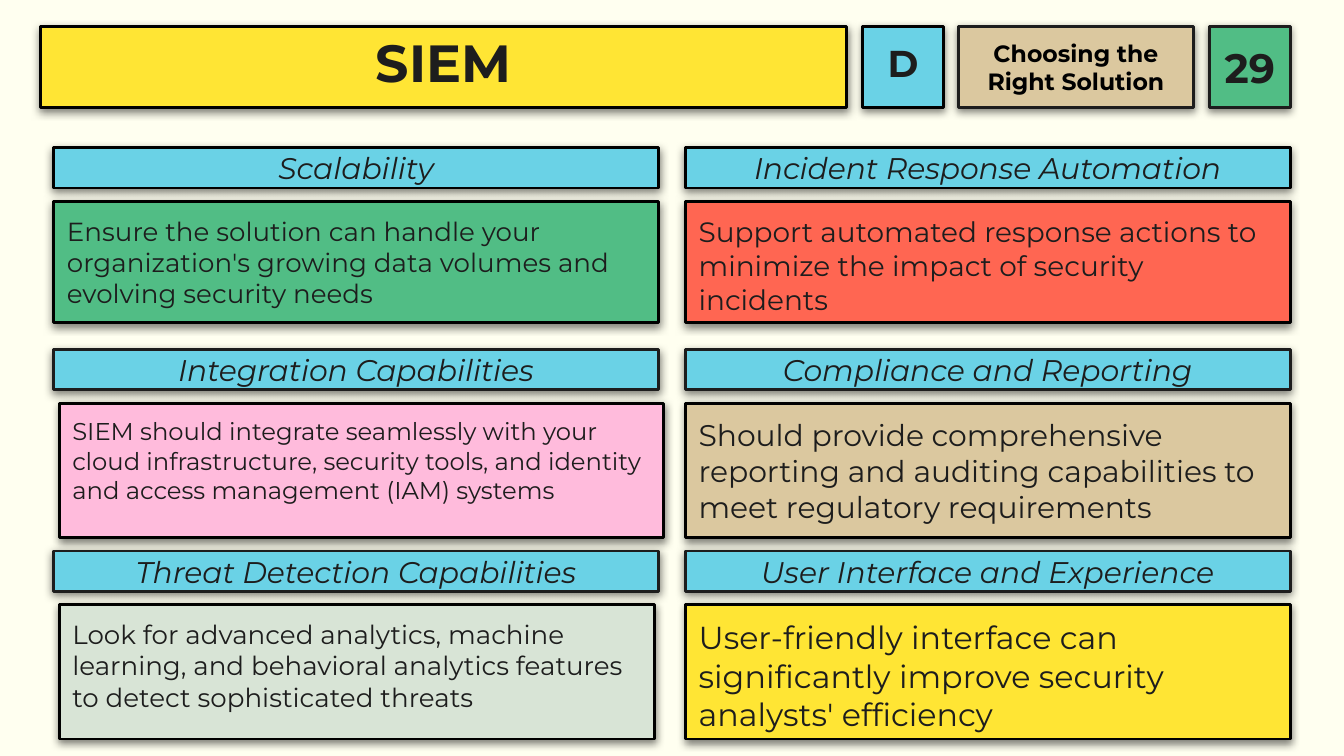
from dataclasses import dataclass
from typing import NamedTuple

from lxml.etree import SubElement
from pptx import Presentation
from pptx.dml.color import RGBColor
from pptx.enum.shapes import MSO_SHAPE
from pptx.enum.text import MSO_ANCHOR, MSO_AUTO_SIZE, PP_ALIGN
from pptx.oxml.ns import qn
from pptx.util import Inches, Pt


@dataclass(frozen=True)
class Theme:
    font: str = "Montserrat"
    paper: str = "FFFFF0"
    ink: str = "1D1D1D"
    black: str = "000000"
    yellow: str = "FFE534"
    blue: str = "6AD2E6"
    tan: str = "DBC89F"
    green: str = "51BD85"
    red: str = "FF6652"
    pink: str = "FFBBDC"
    sage: str = "D8E4D6"
    title_size: float = 28
    number_size: float = 22
    letter_size: float = 20
    section_size: float = 12.6
    heading_size: float = 16
    border: float = 1.5


T = Theme()


class Box(NamedTuple):
    left: float
    top: float
    width: float
    height: float


@dataclass(frozen=True)
class Style:
    fill: str
    size: float
    line: str = T.black
    color: str = T.ink
    bold: bool = False
    italic: bool = False
    centred: bool = True
    spacing: float = 1.0


class Card(NamedTuple):
    col: int
    row: int
    heading: str
    body: str
    fill: str
    size: float
    nudge: float = 0
    width: float = 4.5


# Card grid, in inches
COL_LEFT, COL_PITCH, COL_WIDTH = 0.4, 4.7, 4.5
ROW_TOP, ROW_PITCH = 1.1, 1.5
HEADING_HEIGHT, BODY_OFFSET = 0.3, 0.4
BODY_HEIGHTS = (0.9, 1.0, 1.0)
HEADING_LINES = (T.black, T.ink, T.ink)
BAR_TOP, BAR_HEIGHT = 0.2, 0.6

CARDS = [
    Card(0, 0, "Scalability",
         "Ensure the solution can handle your organization's growing data "
         "volumes and evolving security needs", T.green, 14),
    Card(1, 0, "Incident Response Automation",
         "Support automated response actions to minimize the impact of "
         "security incidents", T.red, 15),
    Card(0, 1, "Integration Capabilities",
         "SIEM should integrate seamlessly with your cloud infrastructure, "
         "security tools, and identity and access management (IAM) systems",
         T.pink, 13, nudge=0.04),
    Card(1, 1, "Compliance and Reporting",
         "Should provide comprehensive reporting and auditing capabilities "
         "to meet regulatory requirements", T.tan, 16),
    Card(0, 2, "Threat Detection Capabilities",
         "Look for advanced analytics, machine learning, and behavioral "
         "analytics features to detect sophisticated threats",
         T.sage, 14, nudge=0.04, width=4.43),
    Card(1, 2, "User Interface and Experience",
         "User-friendly interface can significantly improve security "
         "analysts' efficiency", T.yellow, 17),
]


def add_shadow(s) -> None:
    """Soft black shadow straight below the shape."""
    s.shadow.inherit = False
    effects = s.element.spPr.find(qn("a:effectLst"))
    shadow = SubElement(effects, qn("a:outerShdw"), blurRad=str(Pt(4.5)),
                        dist=str(Pt(1.5)), dir="5400000", algn="bl",
                        rotWithShape="0")
    color = SubElement(shadow, qn("a:srgbClr"), val=T.black)
    SubElement(color, qn("a:alpha"), val="50000")


def format_box(s, box: Box, text: str, style: Style) -> None:
    """Place a shape, then give it its fill, border, shadow and text."""
    for name, value in box._asdict().items():
        setattr(s, name, Inches(value))
    s.fill.solid()
    s.fill.fore_color.rgb = RGBColor.from_string(style.fill)
    s.line.color.rgb = RGBColor.from_string(style.line)
    s.line.width = Pt(T.border)
    add_shadow(s)

    tf = s.text_frame
    tf.text = text
    frame = {
        "word_wrap": True,
        "auto_size": MSO_AUTO_SIZE.NONE,
        "vertical_anchor": MSO_ANCHOR.MIDDLE if style.centred else MSO_ANCHOR.TOP,
    }
    frame |= {f"margin_{side}": Inches(0.1)
              for side in ("left", "top", "right", "bottom")}
    for name, value in frame.items():
        setattr(tf, name, value)

    font = {"name": T.font, "size": Pt(style.size),
            "bold": style.bold, "italic": style.italic}
    for p in tf.paragraphs:
        p.alignment = PP_ALIGN.CENTER if style.centred else PP_ALIGN.LEFT
        p.line_spacing = style.spacing
        for r in p.runs:
            for name, value in font.items():
                setattr(r.font, name, value)
            r.font.color.rgb = RGBColor.from_string(style.color)


def add_box(slide, box: Box, text: str, style: Style) -> None:
    s = slide.shapes.add_shape(MSO_SHAPE.RECTANGLE, 0, 0, 0, 0)
    format_box(s, box, text, style)


def add_card(slide, card: Card) -> None:
    left = COL_LEFT + card.col * COL_PITCH
    top = ROW_TOP + card.row * ROW_PITCH
    add_box(slide, Box(left, top, COL_WIDTH, HEADING_HEIGHT), card.heading,
            Style(T.blue, T.heading_size, line=HEADING_LINES[card.row], italic=True))
    add_box(slide, Box(left + card.nudge, top + BODY_OFFSET, card.width,
                       BODY_HEIGHTS[card.row]),
            card.body, Style(card.fill, card.size, centred=False))


def main() -> None:
    # A 16:9 slide
    prs = Presentation()
    prs.slide_width = Inches(10)
    prs.slide_height = prs.slide_width * 9 // 16
    slide = prs.slides.add_slide(prs.slide_layouts[5])
    slide.background.fill.solid()
    slide.background.fill.fore_color.rgb = RGBColor.from_string(T.paper)

    # Top bar: title, letter, section and number
    format_box(slide.shapes.title, Box(0.3, BAR_TOP, 6, BAR_HEIGHT), "SIEM",
               Style(T.yellow, T.title_size, bold=True, spacing=0.8))
    tags = [
        (6.42, 0.6, "D", Style(T.blue, T.letter_size, bold=True, spacing=0.8)),
        (7.13, 1.75, "Choosing the\nRight Solution",
         Style(T.tan, T.section_size, line=T.ink, color=T.black, bold=True)),
        (9, 0.6, "29", Style(T.green, T.number_size, line=T.ink, bold=True)),
    ]
    for left, width, text, style in tags:
        add_box(slide, Box(left, BAR_TOP, width, BAR_HEIGHT), text, style)

    # Six criteria cards
    for card in CARDS:
        add_card(slide, card)

    prs.save("out.pptx")


if __name__ == "__main__":
    main()
